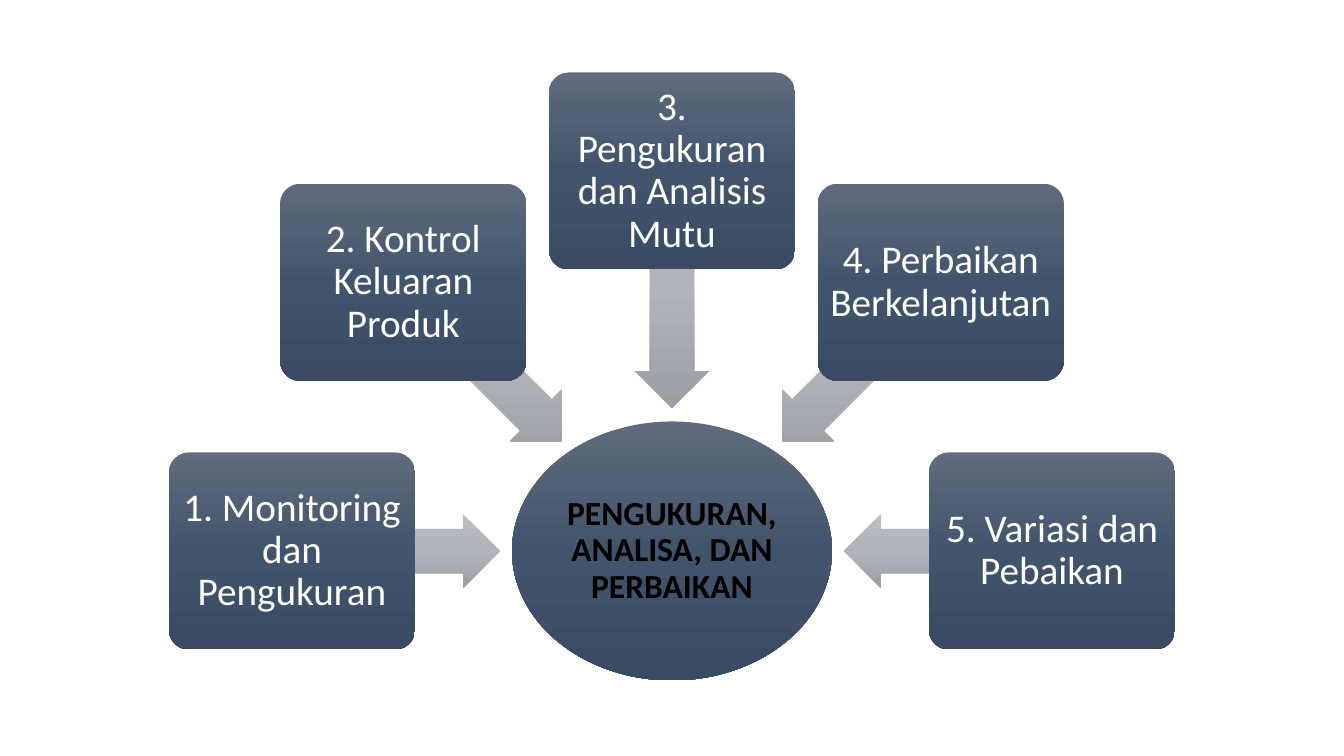
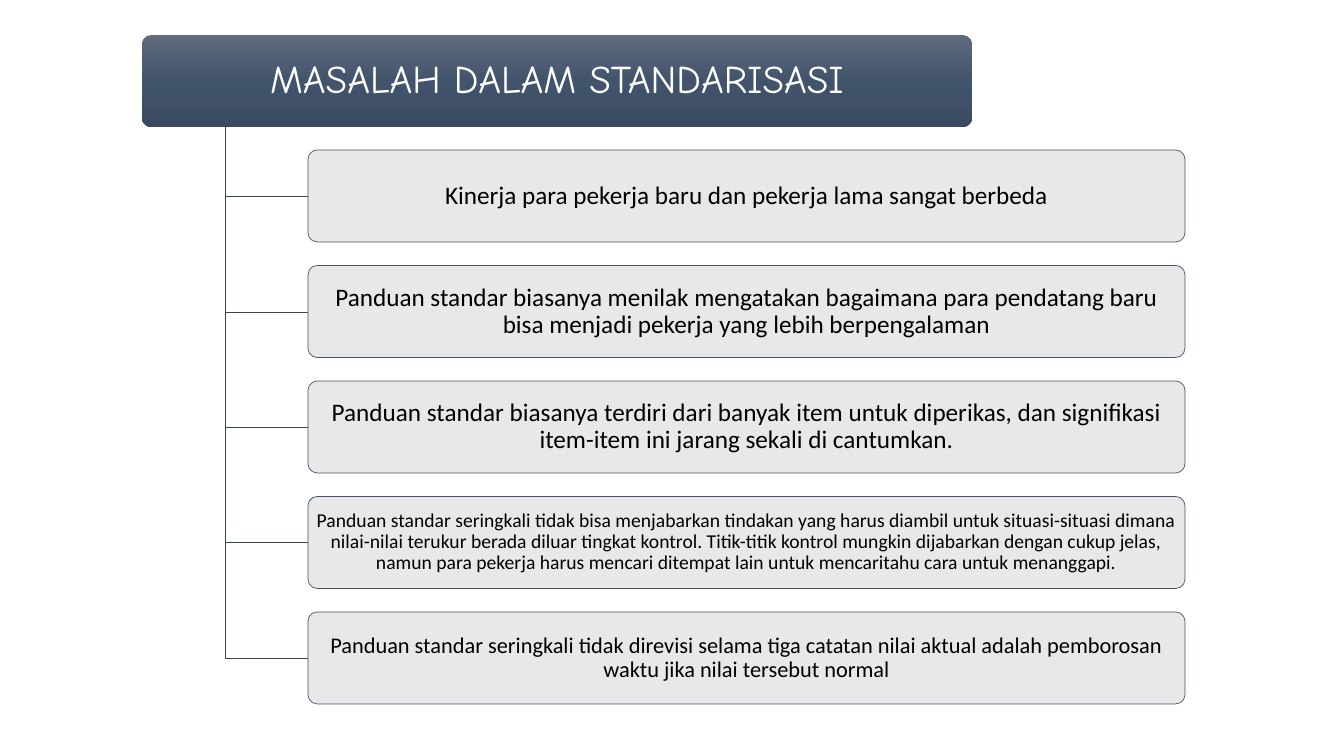
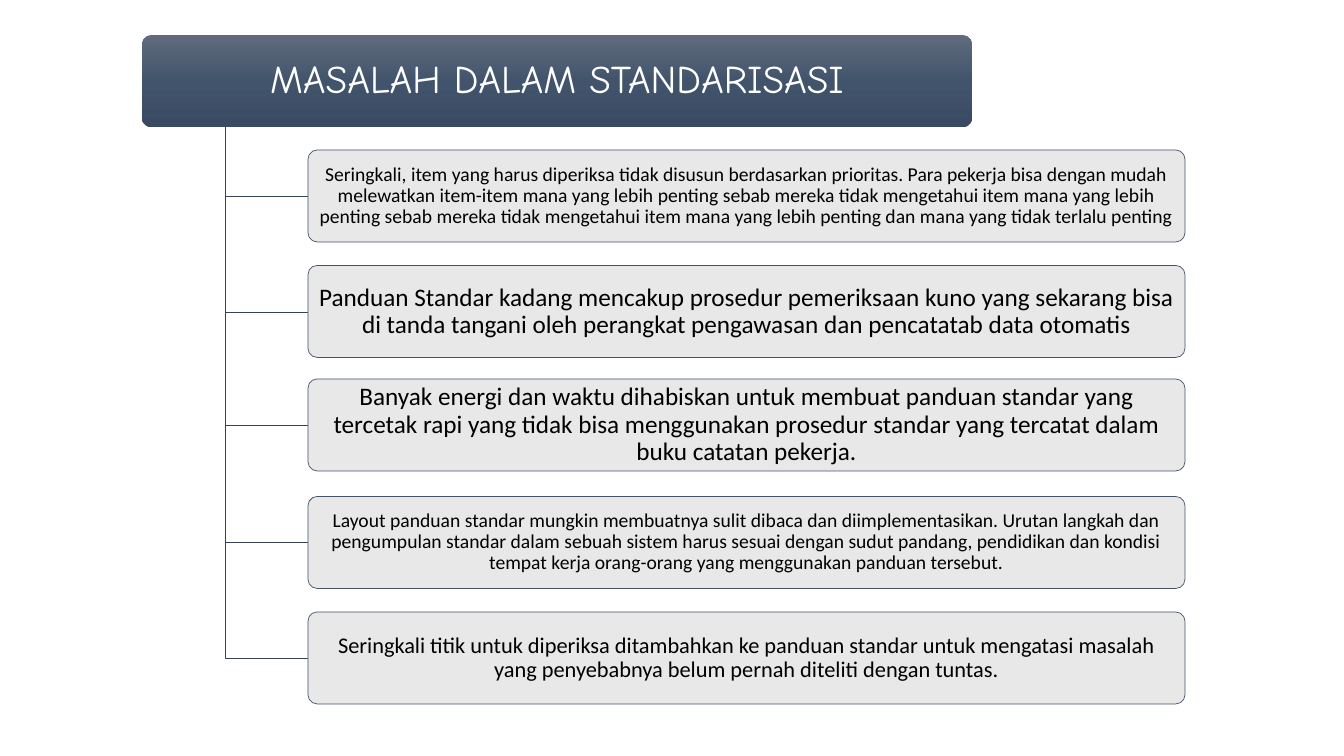
from math import cos, radians, sin

from pptx import Presentation
from pptx.dml.color import RGBColor
from pptx.enum.shapes import MSO_SHAPE as SHAPE
from pptx.enum.text import MSO_ANCHOR as ANCHOR, MSO_AUTO_SIZE as AUTO_SIZE, PP_ALIGN as ALIGN
from pptx.oxml import parse_xml
from pptx.oxml.ns import nsdecls, qn
from pptx.oxml.xmlchemy import OxmlElement
from pptx.util import Emu, Pt

PX = 12192000 / 1344
WIDTH, HEIGHT = 1344, 756
TITLE_ONLY = 5

NAVY = ("606B7D", "42546C", "394A62")
SILVER = ("BABDC2", "B0B3BA", "9C9FA6")
PALE, OUTLINE, BRANCH = "E7E6E6", "44546A", "364355"
BLACK, WHITE = "000000", "FFFFFF"

HUB_TEXT = {"name": "Calibri", "size": 24, "color": BLACK, "bold": True}
STEP_TEXT = {"name": "Calibri", "size": 28, "color": WHITE}
BAND_TEXT = {"name": "Comic Neue", "size": 28, "color": WHITE}
ITEM_TEXT = {"name": "Calibri", "color": BLACK}

HUB = "PENGUKURAN, ANALISA, DAN PERBAIKAN"
# label, direction from the hub in degrees, arrow length
STEPS = [
    ("1. Monitoring dan Pengukuran", 180, 208),
    ("2. Kontrol Keluaran Produk", 225, 225),
    ("3. Pengukuran dan Analisis Mutu", 270, 237),
    ("4. Perbaikan Berkelanjutan", 315, 225),
    ("5. Variasi dan Pebaikan", 0, 208),
]

PROBLEMS = "MASALAH DALAM STANDARISASI"
# text, font size, vertical shift
FIRST_ITEMS = [
    ("Kinerja para pekerja baru dan pekerja lama sangat berbeda", 18, 0),
    ("Panduan standar biasanya menilak mengatakan bagaimana para pendatang baru bisa "
     "menjadi pekerja yang lebih berpengalaman", 18, 0),
    ("Panduan standar biasanya terdiri dari banyak item untuk diperikas, dan signifikasi "
     "item-item ini jarang sekali di cantumkan.", 18, 0),
    ("Panduan standar seringkali tidak bisa menjabarkan tindakan yang harus diambil untuk "
     "situasi-situasi dimana nilai-nilai terukur berada diluar tingkat kontrol. Titik-titik "
     "kontrol mungkin dijabarkan dengan cukup jelas, namun para pekerja harus mencari ditempat "
     "lain untuk mencaritahu cara untuk menanggapi.", 14, 0),
    ("Panduan standar seringkali tidak direvisi selama tiga catatan nilai aktual adalah "
     "pemborosan waktu jika nilai tersebut normal", 16, 0),
]
SECOND_ITEMS = [
    ("Seringkali, item yang harus diperiksa tidak disusun berdasarkan prioritas. Para pekerja "
     "bisa dengan mudah melewatkan item-item mana yang lebih penting sebab mereka tidak "
     "mengetahui item mana yang lebih penting sebab mereka tidak mengetahui item mana yang "
     "lebih penting dan mana yang tidak terlalu penting", 14, 0),
    ("Panduan Standar kadang mencakup prosedur pemeriksaan kuno yang sekarang bisa di tanda "
     "tangani oleh perangkat pengawasan dan pencatatab data otomatis", 18, 0),
    ("Banyak energi dan waktu dihabiskan untuk membuat panduan standar yang tercetak rapi yang "
     "tidak bisa menggunakan prosedur standar yang tercatat dalam buku catatan pekerja.", 18, -2),
    ("Layout panduan standar mungkin membuatnya sulit dibaca dan diimplementasikan. Urutan "
     "langkah dan pengumpulan standar dalam sebuah sistem harus sesuai dengan sudut pandang, "
     "pendidikan dan kondisi tempat kerja orang-orang yang menggunakan panduan tersebut.", 14, 0),
    ("Seringkali titik untuk diperiksa ditambahkan ke panduan standar untuk mengatasi masalah "
     "yang penyebabnya belum pernah diteliti dengan tuntas.", 16, 0),
]


def px(*lengths):
    return [Emu(round(length * PX)) for length in lengths]


def rgb(value):
    return RGBColor.from_string(value)


class Deck:
    """Holds the presentation, its style and the current slide."""

    def __init__(self):
        self.deck = Presentation()
        self.deck.slide_width, self.deck.slide_height = px(WIDTH, HEIGHT)
        self.page = None

    def new_page(self):
        self.page = self.deck.slides.add_slide(self.deck.slide_layouts[TITLE_ONLY])

    def text(self, box, words, style, inset):
        frame = box.text_frame
        margin, = px(inset)
        layout = {"word_wrap": True, "auto_size": AUTO_SIZE.NONE, "vertical_anchor": ANCHOR.MIDDLE,
                  "margin_left": margin, "margin_right": margin,
                  "margin_top": margin, "margin_bottom": margin}
        for name, value in layout.items():
            setattr(frame, name, value)
        para = frame.paragraphs[0]
        para.alignment, para.line_spacing = ALIGN.CENTER, 0.9
        span = para.add_run()
        span.text = words
        for name, value in style.items():
            if name == "color":
                span.font.color.rgb = rgb(value)
            else:
                setattr(span.font, name, Pt(value) if name == "size" else value)

    def title(self, at, words, style, inset):
        """Fill the title placeholder and lift it above the shapes drawn so far."""
        box = self.page.shapes.title
        box.left, box.top, box.width, box.height = px(*at)
        self.text(box, words, style, inset)
        box.element.getparent().append(box.element)

    def shape(self, kind, at, adjustments=()):
        box = self.page.shapes.add_shape(kind, *px(*at))
        box.shadow.inherit = False
        for index, value in enumerate(adjustments):
            box.adjustments[index] = value
        return box

    def shaded(self, kind, at, colors, adjustments=()):
        """Add a borderless shape with an even top-to-bottom gradient."""
        box = self.shape(kind, at, adjustments)
        box.line.fill.background()
        stops = "".join(f'<a:gs pos="{index * 50000}"><a:srgbClr val="{color}"/></a:gs>'
                        for index, color in enumerate(colors))
        box.element.spPr.insert(2, parse_xml(
            f'<a:gradFill {nsdecls("a")} rotWithShape="0"><a:gsLst>{stops}</a:gsLst>'
            '<a:lin ang="5400000" scaled="0"/></a:gradFill>'))
        return box

    def outline(self, box, color):
        box.line.color.rgb, box.line.width = rgb(color), Pt(0.5)

    def panel(self, at, words, size):
        """Add a pale, slightly transparent rounded box with text."""
        box = self.shape(SHAPE.ROUNDED_RECTANGLE, at, [0.1])
        box.fill.solid()
        box.fill.fore_color.rgb = rgb(PALE)
        alpha = OxmlElement("a:alpha")
        alpha.set("val", "90000")
        box.element.spPr.find(".//" + qn("a:srgbClr")).append(alpha)
        self.outline(box, OUTLINE)
        self.text(box, words, {**ITEM_TEXT, "size": size}, 4)

    def elbow(self, start, end):
        """Draw an open line that runs down and then right."""
        builder = self.page.shapes.build_freeform(*start, scale=PX)
        builder.add_line_segments([(start[0], end[1]), end], close=False)
        branch = builder.convert_to_shape()
        branch.shadow.inherit = False
        branch.fill.background()
        self.outline(branch, BRANCH)

    def hub_page(self):
        center_x, center_y, radius = 672, 551, 380
        self.new_page()

        def around(angle, distance, width, height):
            """Place a box whose middle lies in a direction from the hub."""
            x = center_x + distance * cos(radians(angle))
            y = center_y + distance * sin(radians(angle))
            return x - width / 2, y - height / 2, width, height

        self.shaded(SHAPE.OVAL, around(0, 0, 320, 259), NAVY)
        for words, angle, length in STEPS:
            arrow = self.shaded(SHAPE.LEFT_ARROW, around(angle, radius - length / 2, length, 74),
                                SILVER, [0.6, 0.5])
            arrow.rotation = angle
            box = self.shaded(SHAPE.ROUNDED_RECTANGLE, around(angle, radius, 246, 197), NAVY, [0.1])
            self.text(box, words, STEP_TEXT, 6)
        self.title(around(0, 0, 226, 184), HUB, HUB_TEXT, 2)

    def tree_page(self, heading, items):
        band = (142, 35, 830, 92)
        trunk, left, top, width, height, pitch = 225, 308, 150, 877, 92, 115.5
        self.new_page()
        self.shaded(SHAPE.ROUNDED_RECTANGLE, band, NAVY, [0.1])
        self.title(band, heading, BAND_TEXT, 6)
        for row, (words, size, shift) in enumerate(items):
            y = top + row * pitch + shift
            self.elbow((trunk, band[1] + band[3]), (left, y + height / 2))
            self.panel((left, y, width, height), words, size)


def main():
    deck = Deck()
    deck.hub_page()
    for items in (FIRST_ITEMS, SECOND_ITEMS):
        deck.tree_page(PROBLEMS, items)
    deck.deck.save("out.pptx")


if __name__ == "__main__":
    main()
